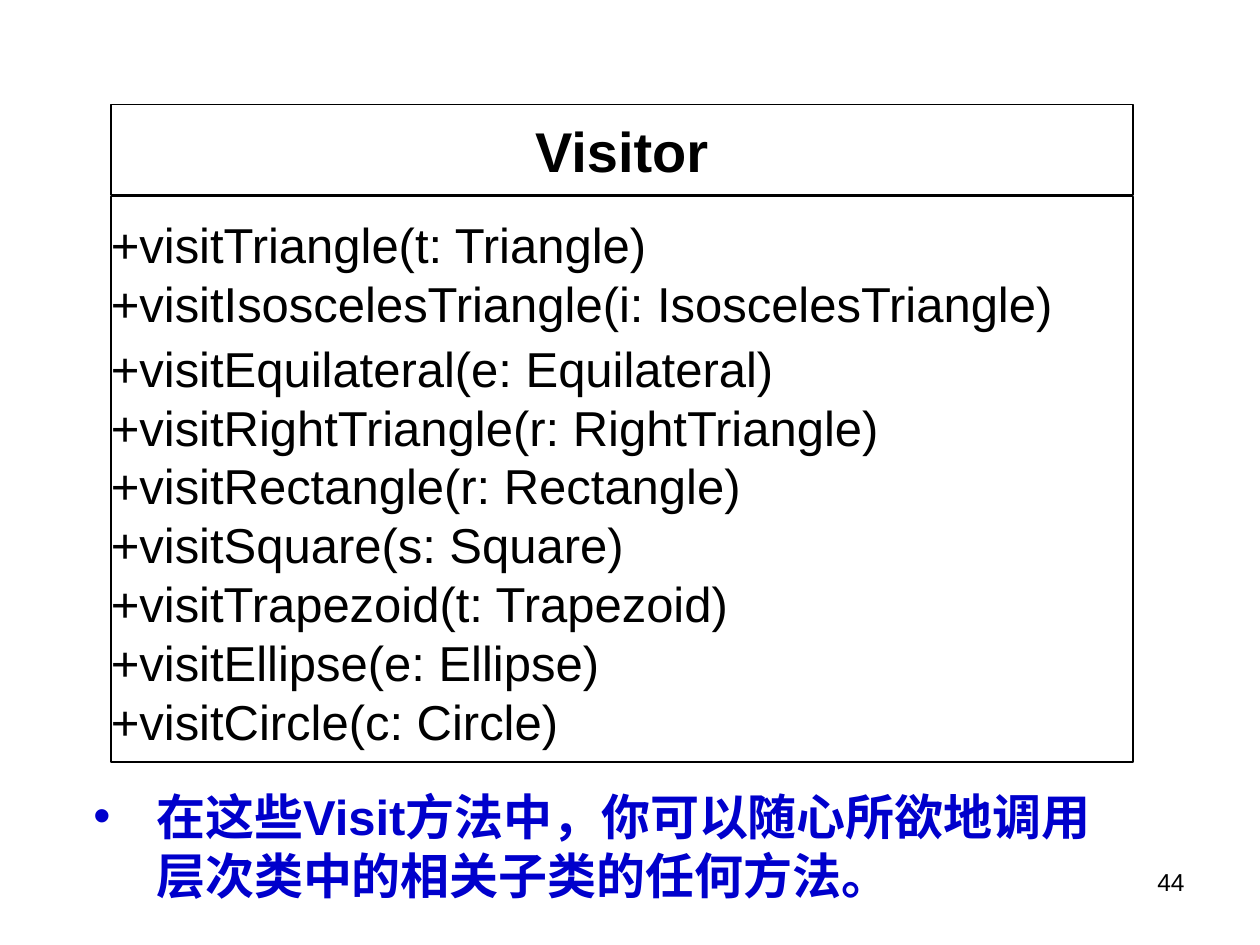
from dataclasses import dataclass

from lxml.etree import SubElement
from pptx import Presentation
from pptx.dml.color import RGBColor as Rgb
from pptx.enum.shapes import MSO_SHAPE as Shape
from pptx.enum.text import MSO_ANCHOR as Anchor, MSO_AUTO_SIZE as AutoSize, PP_ALIGN as Align
from pptx.oxml.ns import qn
from pptx.util import Inches, Pt


@dataclass(frozen=True)
class Theme:
    font: str = "Arial"
    ink: str = "000000"
    paper: str = "FFFFFF"
    accent: str = "0000CC"
    paper_alpha: int = 38
    heading: int = 32
    body: int = 28
    small: int = 14


THEME = Theme()
METHODS = [
    ("Triangle", "t"), ("IsoscelesTriangle", "i"), ("Equilateral", "e"),
    ("RightTriangle", "r"), ("Rectangle", "r"), ("Square", "s"),
    ("Trapezoid", "t"), ("Ellipse", "e"), ("Circle", "c"),
]
LOOSE_LINES = {"Triangle": 1.1, "Equilateral": 1.1}
NOTE = "在这些Visit方法中，你可以随心所欲地调用层次类中的相关子类的任何方法。"


def write(para, text, size=THEME.body, color=THEME.ink, bold=False,
          align=None, spacing=None):
    """Fill a paragraph with one formatted run."""
    para.alignment = align
    para.line_spacing = spacing
    para.space_before = Pt(0)
    span = para.add_run()
    span.text = text
    span.font.name = THEME.font
    span.font.size = Pt(size)
    span.font.bold = bold
    span.font.color.rgb = Rgb.from_string(color)


def place(shape, box):
    shape.left, shape.top, shape.width, shape.height = map(Inches, box)


def add_compartment(page, box):
    """Outlined, partly transparent box; returns its text frame."""
    shape = page.shapes.add_shape(Shape.RECTANGLE, *map(Inches, box))
    shape.shadow.inherit = False
    shape.fill.solid()
    shape.fill.fore_color.rgb = Rgb.from_string(THEME.paper)
    color = shape.fill._xPr.find(qn("a:solidFill"))[0]
    SubElement(color, qn("a:alpha"), val=str(THEME.paper_alpha * 1000))
    shape.line.color.rgb = Rgb.from_string(THEME.ink)
    shape.line.width = Pt(1)
    frame = shape.text_frame
    frame.word_wrap = True
    frame.vertical_anchor = Anchor.MIDDLE
    frame.margin_left = frame.margin_right = 0
    frame.margin_top = frame.margin_bottom = 0
    return frame


def add_class_diagram(page, box, name_height=0.72, gap=0.01):
    left, top, width, height = box
    # Class name
    name = add_compartment(page, (left, top, width, name_height))
    write(name.paragraphs[0], "Visitor", size=THEME.heading, bold=True, align=Align.CENTER)
    # Operations
    offset = name_height + gap
    frame = add_compartment(page, (left, top + offset, width, height - offset))
    for index, (kind, argument) in enumerate(METHODS):
        para = frame.add_paragraph() if index else frame.paragraphs[0]
        write(para, f"+visit{kind}({argument}: {kind})",
              align=Align.JUSTIFY, spacing=LOOSE_LINES.get(kind))


def add_note(page, box):
    body = page.placeholders[1]
    place(body, box)
    frame = body.text_frame
    frame.auto_size = AutoSize.SHAPE_TO_FIT_TEXT
    para = frame.paragraphs[0]
    write(para, NOTE, color=THEME.accent, bold=True)
    # Hanging bullet in the accent colour
    props = para._p.get_or_add_pPr()
    props.set("marL", str(Inches(0.5)))
    props.set("indent", str(Inches(-0.5)))
    color = SubElement(props, qn("a:buClr"))
    SubElement(color, qn("a:srgbClr"), val=THEME.accent)
    SubElement(props, qn("a:buFont"), typeface=THEME.font)
    SubElement(props, qn("a:buChar"), char="•")


def add_page_number(page, box):
    frame = page.shapes.add_textbox(*map(Inches, box)).text_frame
    frame.word_wrap = True
    write(frame.paragraphs[0], "44", size=THEME.small, align=Align.RIGHT)


def main():
    deck = Presentation()
    deck.slide_width, deck.slide_height = Inches(10), Inches(7.5)
    page = deck.slides.add_slide(deck.slide_layouts[1])
    # This slide has no title
    title = page.shapes.title.element
    title.getparent().remove(title)

    add_page_number(page, (7.17, 6.83, 2.33, 0.52))
    add_class_diagram(page, (0.88, 0.83, 8.11, 5.22))
    add_note(page, (0.64, 6.19, 8.35, 1.04))
    deck.save("out.pptx")


if __name__ == "__main__":
    main()
